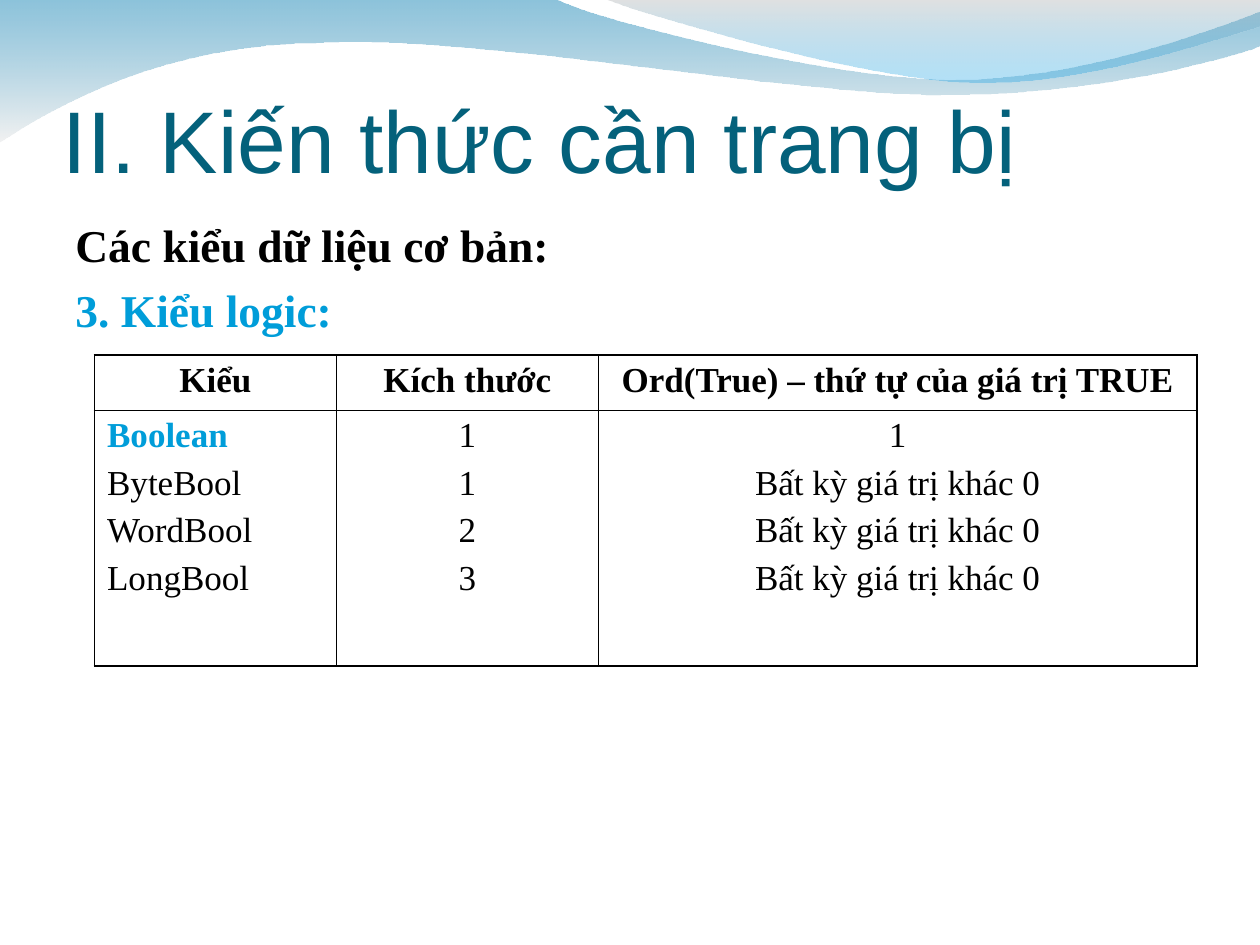
from pptx import Presentation
from pptx import util as u
from pptx.dml.color import RGBColor
from pptx.enum import text
from pptx.oxml import parse_xml
from pptx.oxml.ns import qn

NS = 'xmlns:a="http://schemas.openxmlformats.org/drawingml/2006/main"'
W, H = 10, 7.5
SERIF, INK, BLUE = "Times New Roman", "000000", "009DD9"
THICK, THIN = 1.08, 0.45

TITLE = "II. Kiến thức cần trang bị"
BODY = [("Các kiểu dữ liệu cơ bản:", INK), ("3. Kiểu logic:", BLUE)]
ANY = "Bất kỳ giá trị khác 0"
HEAD = ["Kiểu", "Kích thước", "Ord(True) – thứ tự của giá trị TRUE"]
TYPES = [
    ("Boolean", "1", "1"),
    ("ByteBool", "1", ANY),
    ("WordBool", "2", ANY),
    ("LongBool", "3", ANY),
]
COLS, ROWS = [1.92, 2.08, 4.75], [0.43, 2.03]

WAVES = [
    ([(0, -0.01), (4.4, -0.01),
      (4.76, 0.17, 6.64, 0.63, 7.58, 0.63),
      (8.53, 0.63, 9.58, 0.26, 10, 0.09),
      (10.01, 0.36),
      (9.83, 0.44, 8.7, 0.76, 7.46, 0.75),
      (6.22, 0.75, 3.82, 0.28, 2.57, 0.34),
      (1.29, 0.35, 0.46, 0.83, -0.01, 1.13),
      (0, -0.01)],
     [("0079AF", 45), ("E7E7E7", 55)]),
    ([(4.79, -0.01),
      (5.09, 0.11, 6.82, 0.62, 7.69, 0.65),
      (8.56, 0.69, 9.61, 0.32, 10, 0.21),
      (10, 0), (4.79, -0.01)],
     [("BCBCBC", 45), ("009BE5", 30)]),
]


def rgb(code):
    return RGBColor.from_string(code)


def bend(shape, steps):
    lines = list(shape.element.iter(qn("a:lnTo")))
    for line, step in zip(lines, steps[1:]):
        if len(step) == 6:
            pts = "".join(
                f'<a:pt x="{u.Inches(x) - shape.left}" y="{u.Inches(y) - shape.top}"/>'
                for x, y in zip(step[::2], step[1::2]))
            curve = parse_xml(f'<a:cubicBezTo {NS}>{pts}</a:cubicBezTo>')
            line.getparent().replace(line, curve)


def wave(slide, steps, stops):
    ends = [tuple(map(u.Inches, step[-2:])) for step in steps]
    pen = slide.shapes.build_freeform(*ends[0])
    pen.add_line_segments(ends[1:], close=True)
    shape = pen.convert_to_shape()
    bend(shape, steps)
    shape.shadow.inherit = False
    shape.line.fill.background()
    shape.fill.solid()
    marks = "".join(
        f'<a:gs pos="{i * 100000}"><a:srgbClr val="{hue}">'
        f'<a:alpha val="{part * 1000}"/></a:srgbClr></a:gs>'
        for i, (hue, part) in enumerate(stops))
    grad = parse_xml(f'<a:gradFill {NS} rotWithShape="1"><a:gsLst>{marks}</a:gsLst>'
                     '<a:lin ang="5400000" scaled="1"/></a:gradFill>')
    props = shape.element.spPr
    props.replace(props.find(qn("a:solidFill")), grad)


def write(frame, lines, size, name, gap=0, align=text.PP_ALIGN.LEFT):
    for i, (words, hue, bold) in enumerate(lines):
        para = frame.add_paragraph() if i else frame.paragraphs[0]
        para.alignment = align
        if i:
            para.space_before = u.Pt(gap)
        run = para.add_run()
        run.text = words
        run.font.color.rgb = rgb(hue)
        for key, val in dict(size=u.Pt(size), name=name, bold=bold).items():
            setattr(run.font, key, val)


def box(slide, area, lines, size, name, gap=0, **form):
    frame = slide.shapes.add_textbox(*map(u.Inches, area)).text_frame
    for key, val in dict(word_wrap=True, **form).items():
        setattr(frame, key, val)
    write(frame, lines, size, name, gap)


def edge(cell, widths):
    props = cell._tc.get_or_add_tcPr()
    for i, (side, width) in enumerate(zip("LRTB", widths)):
        props.insert(i, parse_xml(
            f'<a:ln{side} {NS} w="{u.Pt(width)}"><a:solidFill>'
            f'<a:srgbClr val="{INK}"/></a:solidFill></a:ln{side}>'))


def grid(slide):
    area = (0.75, 2.82, sum(COLS), sum(ROWS))
    table = slide.shapes.add_table(len(ROWS), len(COLS), *map(u.Inches, area)).table
    for key in ("first_row", "horz_banding"):
        setattr(table, key, False)
    for col, width in zip(table.columns, COLS):
        col.width = u.Inches(width)
    for row, tall in zip(table.rows, ROWS):
        row.height = u.Inches(tall)
    for c, name in enumerate(HEAD):
        items = [(line[c], BLUE if c + i == 0 else INK, c + i == 0)
                 for i, line in enumerate(TYPES)]
        for r, lines in enumerate([[(name, INK, True)], items]):
            cell = table.cell(r, c)
            cell.fill.background()
            ends = (c == 0, c == len(COLS) - 1, r == 0, r == len(ROWS) - 1)
            edge(cell, [THICK if end else THIN for end in ends])
            left = r == 1 and c == 0
            align = text.PP_ALIGN.LEFT if left else text.PP_ALIGN.CENTER
            write(cell.text_frame, lines, 20, SERIF, 5, align)


def main():
    deck = Presentation()
    deck.slide_width, deck.slide_height = u.Inches(W), u.Inches(H)
    slide = deck.slides.add_slide(deck.slide_layouts[6])
    for steps, stops in WAVES:
        wave(slide, steps, stops)
    box(slide, (0.5, 0.58, 9, 0.94), [(TITLE, "04617B", False)], 50, "Arial",
        vertical_anchor=text.MSO_ANCHOR.BOTTOM,
        margin_left=0, margin_right=0, margin_bottom=0)
    box(slide, (0.5, 1.67, 9.08, 5.33), [(*line, True) for line in BODY],
        26, SERIF, gap=6.5)
    grid(slide)
    deck.save("out.pptx")


if __name__ == "__main__":
    main()
